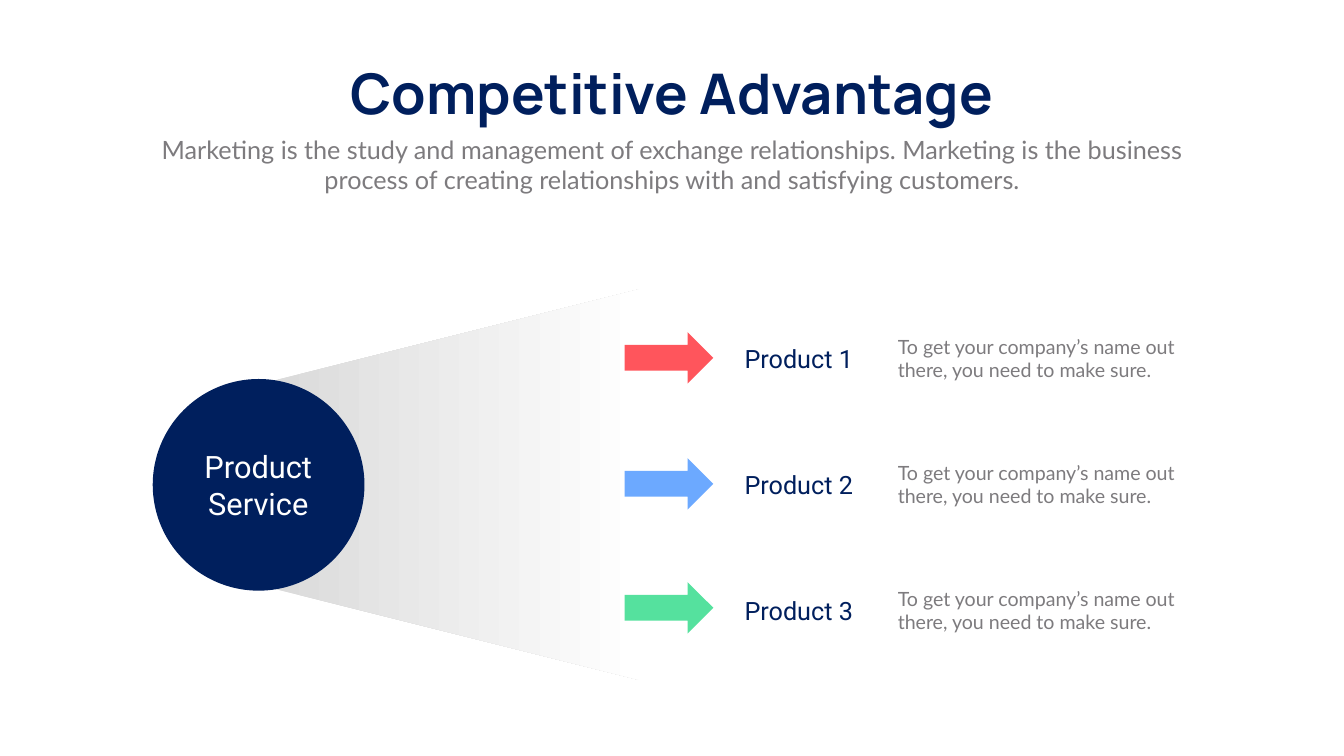
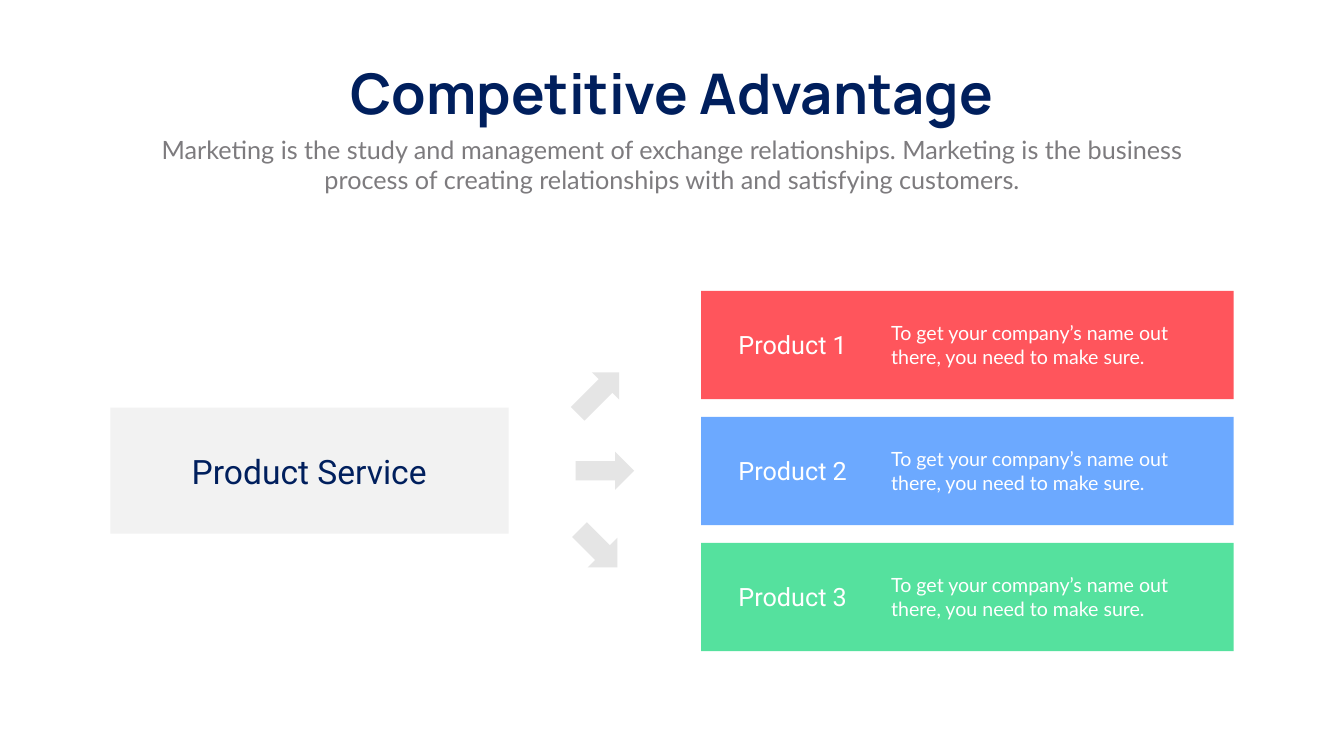
"""Build two competitive advantage slides: a funnel and a set of product cards."""
from pptx import Presentation
from pptx.dml.color import RGBColor
from pptx.enum.shapes import MSO_SHAPE
from pptx.enum.text import MSO_AUTO_SIZE, PP_ALIGN
from pptx.util import Pt

PX = 9144
SLIDE_SIZE = (2666, 1500)
COLORS = {
    "navy": "001F5D",
    "gray": "7D7B7E",
    "white": "FFFFFF",
    "red": "FF555C",
    "blue": "6CA9FF",
    "green": "55E19E",
    "panel": "F2F2F2",
    "arrow": "E5E5E5",
    "beam": "D9D9D9",
}
TITLE = "Competitive Advantage"
SUBTITLE = (
    "Marketing is the study and management of exchange relationships. "
    "Marketing is the business process of creating relationships with "
    "and satisfying customers."
)
SERVICE = "Product Service"
DESCRIPTION = "To get your company’s name out there, you need to make sure."
PRODUCTS = [
    ("Product 1", DESCRIPTION, "red"),
    ("Product 2", DESCRIPTION, "blue"),
    ("Product 3", DESCRIPTION, "green"),
]
ROW_PITCH = 250
FUNNEL_ARROW_TOPS = (659, 909, 1155)
SPREAD_ARROWS = [
    ((1129, 742, 116, 76), 315),
    ((1142, 896, 116, 76), 0),
    ((1134, 1047, 106, 83), 45),
]


def rgb(color):
    return RGBColor.from_string(COLORS[color])


def scale(box):
    return [length * PX for length in box]


def add_filled(slide, kind, box, color, rotation=0):
    shape = slide.shapes.add_shape(kind, *scale(box))
    shape.shadow.inherit = False
    shape.line.fill.background()
    shape.fill.solid()
    shape.fill.fore_color.rgb = rgb(color)
    shape.rotation = rotation
    return shape


def add_label(slide, text, box, font, size, color, align=PP_ALIGN.LEFT, bold=False, wrap=True):
    frame = slide.shapes.add_textbox(*scale(box)).text_frame
    frame.word_wrap = wrap
    frame.auto_size = MSO_AUTO_SIZE.SHAPE_TO_FIT_TEXT
    paragraph = frame.paragraphs[0]
    paragraph.text = text
    paragraph.alignment = align
    paragraph.font.name = font
    paragraph.font.size = Pt(size)
    paragraph.font.bold = bold
    paragraph.font.color.rgb = rgb(color)


def add_titled_slide(presentation):
    slide = presentation.slides.add_slide(presentation.slide_layouts[6])
    add_label(slide, TITLE, (628, 112, 1410, 145), "Manrope", 80, "navy",
              PP_ALIGN.CENTER, bold=True, wrap=False)
    add_label(slide, SUBTITLE, (292, 261, 2082, 131), "Lato", 36, "gray", PP_ALIGN.CENTER)
    return slide


def add_product_texts(slide, name_left, detail_left, detail_width, top, name_color, detail_color):
    for row, (name, detail, _) in enumerate(PRODUCTS):
        y = top + row * ROW_PITCH
        add_label(slide, name, (name_left, y + 17, 304, 71), "Roboto", 36, name_color)
        add_label(slide, detail, (detail_left, y, detail_width, 104), "Lato", 28, detail_color)


def add_beam(slide):
    beam = add_filled(slide, MSO_SHAPE.TRAPEZOID, (503, 583, 776, 757), "beam", 270)
    beam.fill.gradient()
    beam.fill.gradient_angle = 270
    for stop, color, position in zip(beam.fill.gradient_stops, ("beam", "white"), (0, 1)):
        stop.color.rgb = rgb(color)
        stop.position = position


def build_funnel_slide(presentation):
    slide = add_titled_slide(presentation)
    add_beam(slide)
    add_filled(slide, MSO_SHAPE.OVAL, (303, 752, 420, 420), "navy")
    add_product_texts(slide, 1467, 1771, 592, 659, "navy", "gray")
    for top, (_, _, color) in zip(FUNNEL_ARROW_TOPS, PRODUCTS):
        add_filled(slide, MSO_SHAPE.RIGHT_ARROW, (1239, top, 176, 102), color)
    add_label(slide, SERVICE, (368, 883, 289, 158), "Roboto", 44, "white", PP_ALIGN.CENTER)


def build_cards_slide(presentation):
    slide = add_titled_slide(presentation)
    add_filled(slide, MSO_SHAPE.RECTANGLE, (219, 809, 790, 250), "panel")
    add_label(slide, SERVICE, (333, 889, 561, 91), "Roboto", 48, "navy", PP_ALIGN.CENTER)
    for row, (_, _, color) in enumerate(PRODUCTS):
        card = (1391, 577 + row * ROW_PITCH, 1056, 215)
        add_filled(slide, MSO_SHAPE.RECTANGLE, card, color)
    for box, rotation in SPREAD_ARROWS:
        add_filled(slide, MSO_SHAPE.RIGHT_ARROW, box, "arrow", rotation)
    add_product_texts(slide, 1455, 1758, 624, 632, "white", "white")


def main():
    presentation = Presentation()
    presentation.slide_width, presentation.slide_height = scale(SLIDE_SIZE)
    build_funnel_slide(presentation)
    build_cards_slide(presentation)
    presentation.save("out.pptx")


if __name__ == "__main__":
    main()
